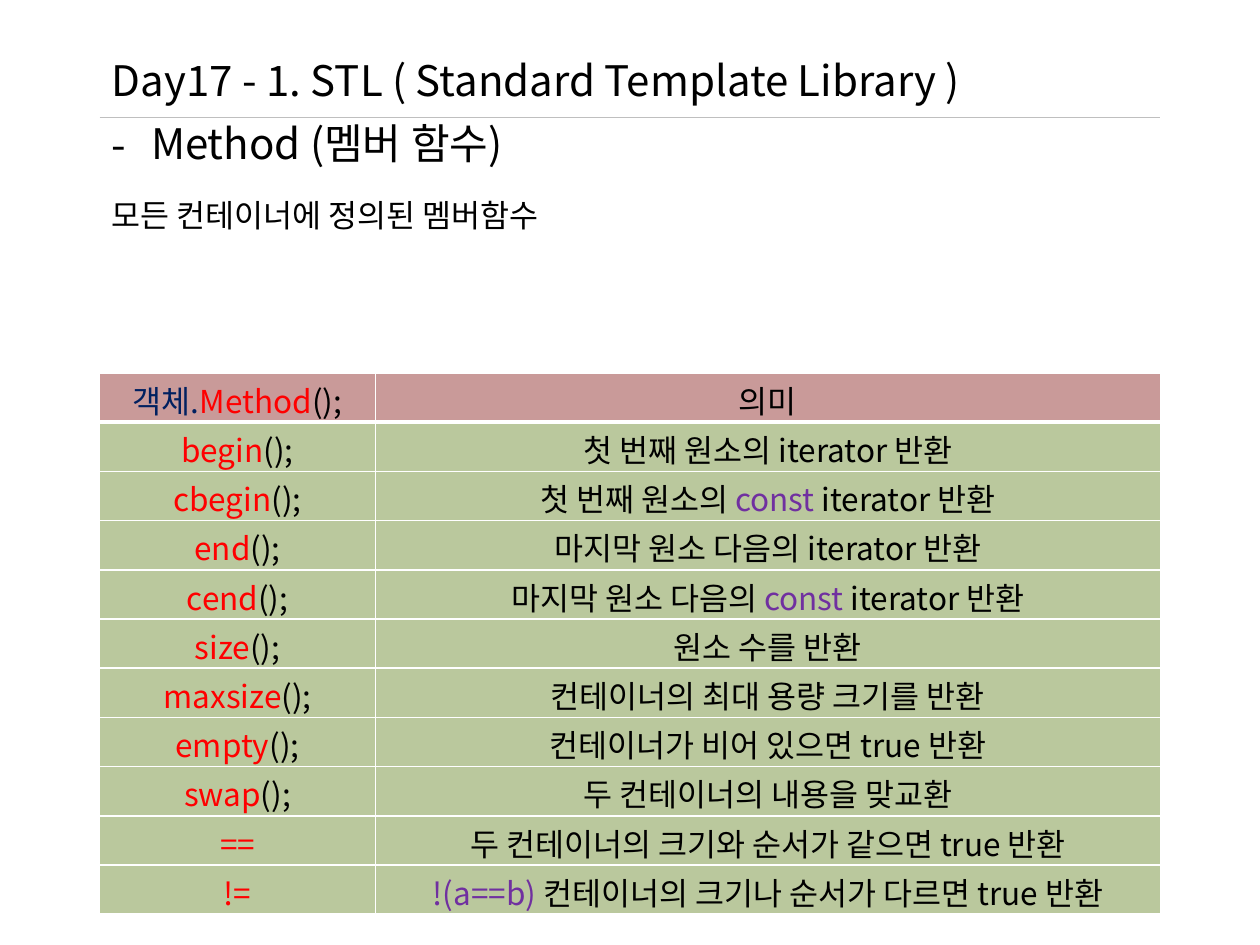
"""Build the slide on the methods shared by all STL containers."""
import pptx
import pptx.dml.color
import pptx.enum.text
import pptx.oxml.ns
import pptx.util
from lxml import etree

Inches, Pt, qn = pptx.util.Inches, pptx.util.Pt, pptx.oxml.ns.qn

FONT = "Noto Sans CJK KR"
COLORS = {
    "text": "000000", "object": "002060", "method": "FF0000", "const": "7030A0",
    "header": "953735", "body": "77933C", "border": "FFFFFF", "rule": "BFBFBF",
}
TITLE = "Day17 - 1. STL ( Standard Template Library )"
SUBTITLE = "Method (멤버 함수)"
INTRO = "모든 컨테이너에 정의된 멤버함수"
HEADER = (
    [("객체.", "object"), ("Method", "method"), ("();", "text")],
    [("의미", "text")],
)
METHODS = [
    ("begin", [("첫 번째 원소의 iterator 반환", "text")]),
    ("cbegin", [("첫 번째 원소의 ", "text"), ("const ", "const"), ("iterator 반환", "text")]),
    ("end", [("마지막 원소 다음의 iterator 반환", "text")]),
    ("cend", [("마지막 원소 다음의 ", "text"), ("const ", "const"), ("iterator 반환", "text")]),
    ("size", [("원소 수를 반환", "text")]),
    ("maxsize", [("컨테이너의 최대 용량 크기를 반환", "text")]),
    ("empty", [("컨테이너가 비어 있으면 true 반환", "text")]),
    ("swap", [("두 컨테이너의 내용을 맞교환", "text")]),
    ("==", [("두 컨테이너의 크기와 순서가 같으면 true 반환", "text")]),
    ("!=", [("!(a==b) ", "const"), ("컨테이너의 크기나 순서가 다르면 true 반환", "text")]),
]
LEFT, WIDTH, RULE_Y = 0.79, 8.42, 0.93
TABLE_TOP, TABLE_HEIGHT, COLUMNS = 2.96, 4.3, (2.19, 6.23)


def rgb(name):
    return pptx.dml.color.RGBColor.from_string(COLORS[name])


def add_run(p, text, size, color="text"):
    r = p.add_run()
    r.text = text
    r.font.size, r.font.name = Pt(size), FONT
    r.font.color.rgb = rgb(color)
    etree.SubElement(r.font._element, qn("a:ea"), typeface=FONT)


def add_text_box(slide, top, height):
    tf = slide.shapes.add_textbox(
        Inches(LEFT), Inches(top), Inches(WIDTH), Inches(height)).text_frame
    tf.word_wrap = True
    tf.margin_top = tf.margin_bottom = 0
    return tf


def add_rule(slide):
    y = Inches(RULE_Y)
    line = slide.shapes.add_connector(
        pptx.enum.shapes.MSO_CONNECTOR.STRAIGHT, Inches(LEFT), y, Inches(LEFT + WIDTH), y)
    line.line.color.rgb = rgb("rule")
    line.line.width = Pt(0.75)
    etree.SubElement(line._element.spPr, qn("a:effectLst"))


def style_cell(cell, fill, top, bottom):
    tc_pr = cell._tc.get_or_add_tcPr()
    for side, width in (("L", 1), ("R", 1), ("T", top), ("B", bottom)):
        ln = etree.SubElement(tc_pr, qn(f"a:ln{side}"), w=str(Pt(width)))
        solid = etree.SubElement(ln, qn("a:solidFill"))
        etree.SubElement(solid, qn("a:srgbClr"), val=COLORS["border"])
    cell.fill.solid()
    cell.fill.fore_color.rgb = rgb(fill)
    etree.SubElement(tc_pr.find(qn("a:solidFill"))[0], qn("a:alpha"), val="50000")
    cell.vertical_anchor = pptx.enum.text.MSO_ANCHOR.MIDDLE
    cell.margin_top, cell.margin_bottom = Inches(0.03), 0


def method_runs(name):
    call = [("();", "text")] if name.isalpha() else []
    return [(name, "method")] + call


def add_method_table(slide):
    rows = [HEADER] + [(method_runs(name), meaning) for name, meaning in METHODS]
    table = slide.shapes.add_table(
        len(rows), len(COLUMNS), Inches(LEFT), Inches(TABLE_TOP),
        Inches(WIDTH), Inches(TABLE_HEIGHT)).table
    table.first_row = table.horz_banding = False
    for column, width in zip(table.columns, COLUMNS):
        column.width = Inches(width)
    for i, row in enumerate(rows):
        table.rows[i].height = Inches(TABLE_HEIGHT / len(rows))
        for j, runs in enumerate(row):
            cell = table.cell(i, j)
            style_cell(cell, "body" if i else "header", 3 if i == 1 else 1, 1 if i else 3)
            p = cell.text_frame.paragraphs[0]
            p.alignment = pptx.enum.text.PP_ALIGN.CENTER
            for text, color in runs:
                add_run(p, text, 18, color)


def add_intro(slide):
    tf = add_text_box(slide, RULE_Y, 1.11)
    p = tf.paragraphs[0]
    p_pr = p._p.get_or_add_pPr()
    p_pr.set("marL", str(Inches(0.31)))
    p_pr.set("indent", str(-Inches(0.31)))
    etree.SubElement(p_pr, qn("a:buFont"), typeface=FONT)
    etree.SubElement(p_pr, qn("a:buChar"), char="-")
    add_run(p, SUBTITLE, 24)
    p = tf.add_paragraph()
    p.space_before = Pt(16)
    add_run(p, INTRO, 18)


def main():
    prs = pptx.Presentation()
    prs.slide_width, prs.slide_height = Inches(10), Inches(7.5)
    slide = prs.slides.add_slide(prs.slide_layouts[6])
    add_run(add_text_box(slide, 0.43, 0.5).paragraphs[0], TITLE, 24)
    add_rule(slide)
    add_method_table(slide)
    add_intro(slide)
    prs.save("out.pptx")


if __name__ == "__main__":
    main()
